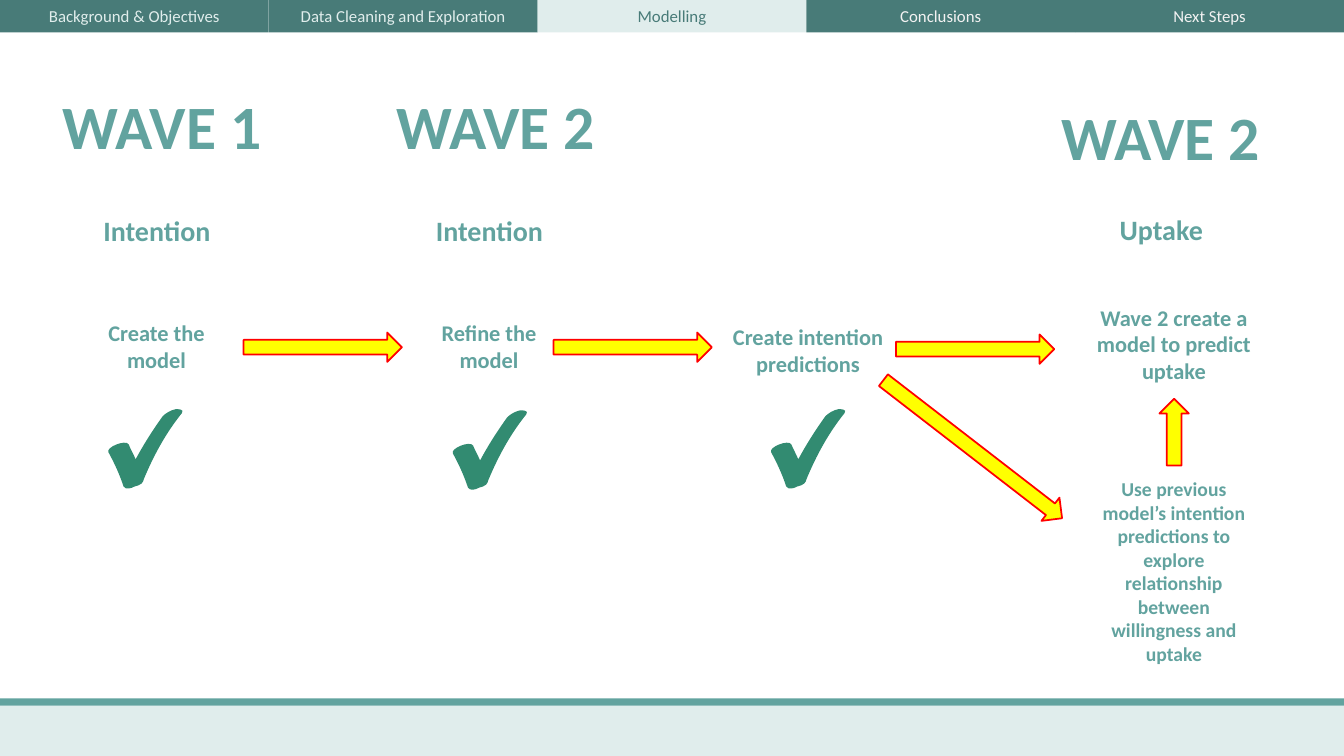
from lxml import etree
from pptx import Presentation
from pptx.dml.color import RGBColor
from pptx.enum.shapes import MSO_SHAPE
from pptx.enum.text import MSO_ANCHOR, MSO_AUTO_SIZE, PP_ALIGN
from pptx.oxml.ns import qn
from pptx.util import Cm, Pt

TEAL = RGBColor(0x62, 0xA3, 0x9F)
DARK_TEAL = RGBColor(0x48, 0x7B, 0x78)
PALE_TEAL = RGBColor(0xE0, 0xED, 0xEC)
OFF_WHITE = RGBColor(0xF2, 0xF2, 0xF2)
GREEN = RGBColor(0x32, 0x8B, 0x71)
YELLOW = RGBColor(0xFF, 0xFF, 0x00)
RED = RGBColor(0xFF, 0x00, 0x00)

SLIDE_W, SLIDE_H = 33.87, 19.05
STEP_W, HEADING_W = 4.45, 7.16
TABS = [("Background & Objectives", PALE_TEAL), ("Data Cleaning and Exploration", PALE_TEAL),
        ("Modelling", DARK_TEAL), ("Conclusions", OFF_WHITE), ("Next Steps", OFF_WHITE)]
CURRENT_TAB = "Modelling"

# Tick outline on a 79-unit grid: start, then Bézier curves (two controls and an end)
TICK_START = (70, 0)
TICK_CURVES = [
    ((65, 1), (60, 4), (57, 7)), ((47, 21), (38, 35), (30, 50)),
    ((28, 45), (25, 40), (23, 35)), ((20, 30), (0, 38), (3, 43)),
    ((9, 54), (14, 65), (18, 77)), ((19, 79), (21, 79), (23, 79)),
    ((25, 79), (27, 78), (29, 77)), ((32, 77), (34, 75), (36, 74)),
    ((37, 73), (38, 71), (38, 70)), ((48, 46), (60, 24), (76, 4)),
    ((79, 0), (72, 0), (70, 0)),
]


def add_block(slide, preset, left, top, width, height, fill):
    sp = slide.shapes.add_shape(preset, Cm(left), Cm(top), Cm(width), Cm(height))
    paint(sp, fill)
    return sp


def paint(sp, fill):
    sp.shadow.inherit = False
    sp.fill.solid()
    sp.fill.fore_color.rgb = fill
    sp.line.fill.background()


def write(sp, text, size, color, bold=True, anchor=MSO_ANCHOR.TOP):
    tf = sp.text_frame
    tf.word_wrap = True
    tf.auto_size = MSO_AUTO_SIZE.NONE
    tf.vertical_anchor = anchor
    p = tf.paragraphs[0]
    p.text = text
    p.alignment = PP_ALIGN.CENTER
    p.font.name = "Calibri"
    p.font.size = Pt(size)
    p.font.bold = bold
    p.font.color.rgb = color


def add_label(slide, text, left, top, width, height, size):
    sp = slide.shapes.add_textbox(Cm(left), Cm(top), Cm(width), Cm(height))
    write(sp, text, size, TEAL)


def add_nav_bar(slide, left, top, width, height):
    tab_w = width / len(TABS)
    for i, (name, color) in enumerate(TABS):
        fill = PALE_TEAL if name == CURRENT_TAB else DARK_TEAL
        sp = add_block(slide, MSO_SHAPE.RECTANGLE, left + i * tab_w, top, tab_w, height, fill)
        sp.text_frame.margin_top = sp.text_frame.margin_bottom = 0
        write(sp, name, 12, color, bold=False, anchor=MSO_ANCHOR.MIDDLE)


def add_footer(slide, left, top, width, height):
    stripe_h = 0.18
    add_block(slide, MSO_SHAPE.RECTANGLE, left, top + stripe_h, width, height - stripe_h, PALE_TEAL)
    add_block(slide, MSO_SHAPE.RECTANGLE, left, top, width, stripe_h, TEAL)


def add_headings(slide, left, top):
    title = slide.shapes.title
    title.left, title.top, title.width, title.height = Cm(left), Cm(top), Cm(HEADING_W), Cm(2.13)
    write(title, "WAVE 1", 44, TEAL)
    for dx, dy in ((8.4, 0), (25.16, 0.26)):
        add_label(slide, "WAVE 2", left + dx, top + dy, HEADING_W, 2.13, 44)
    for text, dx, dy in (("Intention", 1.22, 3.16), ("Intention", 9.6, 3.16), ("Uptake", 26.53, 3.12)):
        add_label(slide, text, left + dx, top + dy, STEP_W, 1.12, 20)


def add_steps(slide, left, top):
    for text, dx, dy, height, size in (
        ("Create the model", 0, 0.39, 1.63, 16),
        ("Refine the model", 8.38, 0.39, 1.63, 16),
        ("Create intention predictions", 16.42, 0.5, 1.63, 16),
        ("Wave 2 create a model to predict uptake", 25.64, 0, 2.31, 16),
        ("Use previous model’s intention predictions to explore relationship "
         "between willingness and uptake", 25.64, 4.37, 5.05, 14),
    ):
        add_label(slide, text, left + dx, top + dy, STEP_W, height, size)


def add_arrows(slide, left, top):
    for dx, dy, width, rotation in ((4.42, 0.85, 3.99, 0), (12.23, 0.85, 3.99, 0),
                                    (20.86, 0.9, 3.99, 0), (19.95, 3.42, 5.69, 37.7),
                                    (27.03, 2.99, 1.68, 270)):
        sp = add_block(slide, MSO_SHAPE.RIGHT_ARROW, left + dx, top + dy, width, 0.74, YELLOW)
        sp.rotation = rotation
        sp.line.color.rgb = RED
        sp.line.width = Pt(1.25)


def bend_segments(sp):
    """Turn each three straight segments into one Bézier curve."""
    segments = list(sp._element.iter(qn("a:lnTo")))
    for i in range(0, len(segments), 3):
        curve = etree.Element(qn("a:cubicBezTo"))
        segments[i].addprevious(curve)
        for segment in segments[i:i + 3]:
            curve.append(segment[0])
            segment.getparent().remove(segment)


def add_tick(slide, left, top, size):
    def place(point):
        return Cm(left + point[0] * size / 79), Cm(top + point[1] * size / 79)

    builder = slide.shapes.build_freeform(*place(TICK_START))
    builder.add_line_segments([place(point) for curve in TICK_CURVES for point in curve], close=True)
    sp = builder.convert_to_shape()
    bend_segments(sp)
    paint(sp, GREEN)


def add_process(slide, left, top):
    add_steps(slide, left, top)
    add_arrows(slide, left, top)
    for dx, dy in ((0.94, 2.78), (9.62, 2.81), (17.64, 2.78)):
        add_tick(slide, left + dx, top + dy, 2)


def main():
    prs = Presentation()
    prs.slide_width, prs.slide_height = Cm(SLIDE_W), Cm(SLIDE_H)
    slide = prs.slides.add_slide(prs.slide_layouts[5])
    add_footer(slide, 0, 17.6, SLIDE_W, 1.45)
    add_nav_bar(slide, 0, 0, SLIDE_W, 0.82)
    add_headings(slide, 0.51, 2.1)
    add_process(slide, 1.72, 7.53)
    prs.save("out.pptx")


if __name__ == "__main__":
    main()
